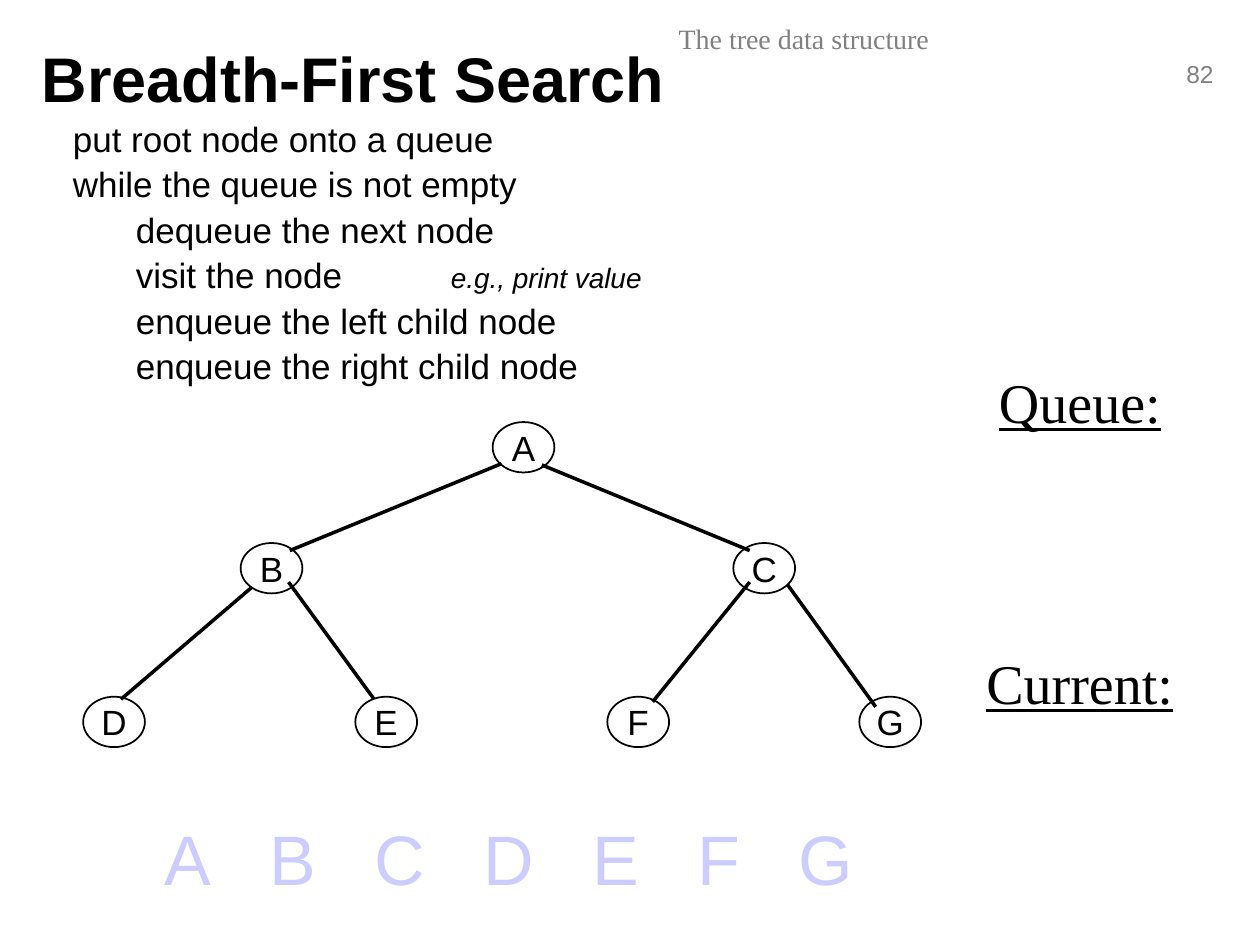
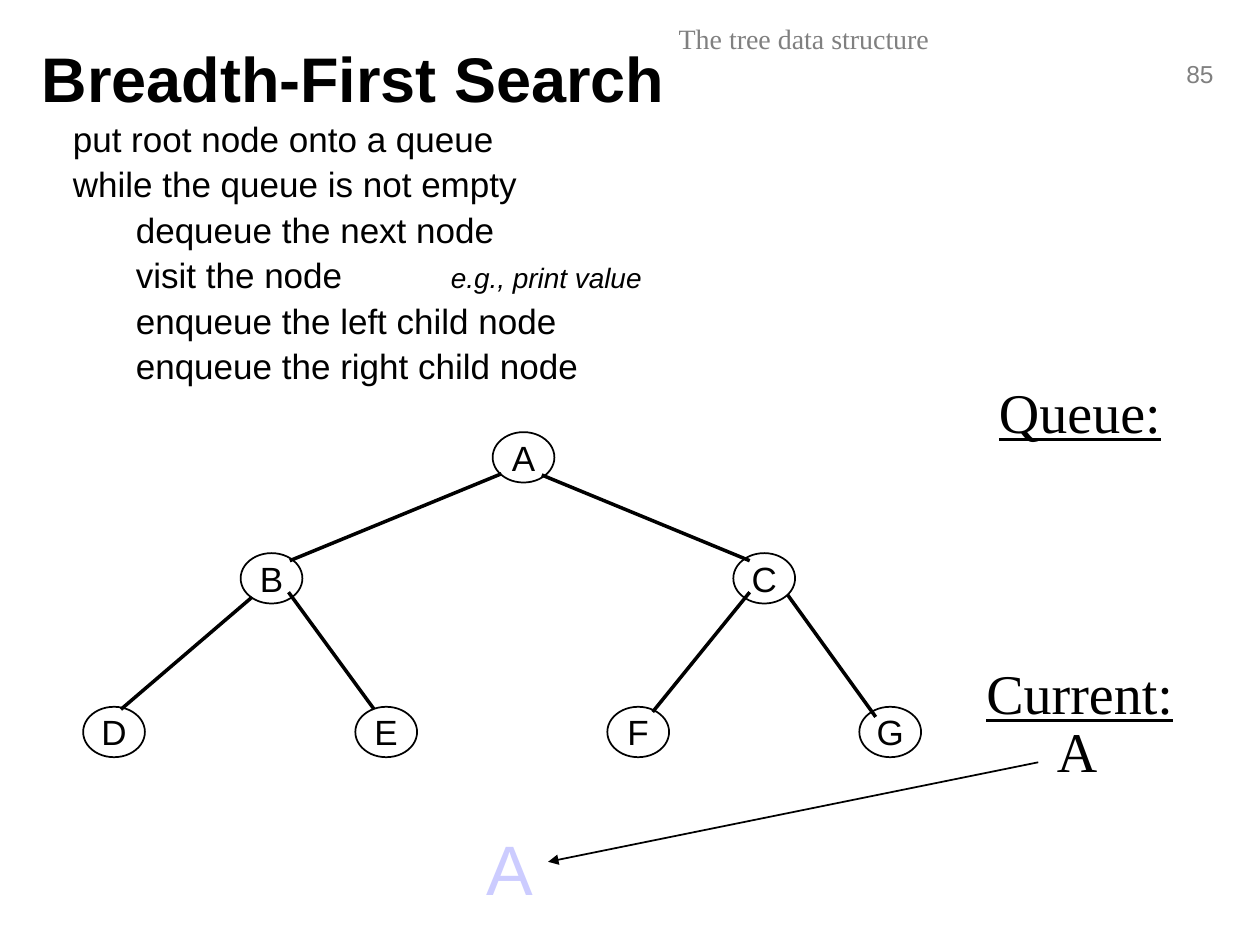
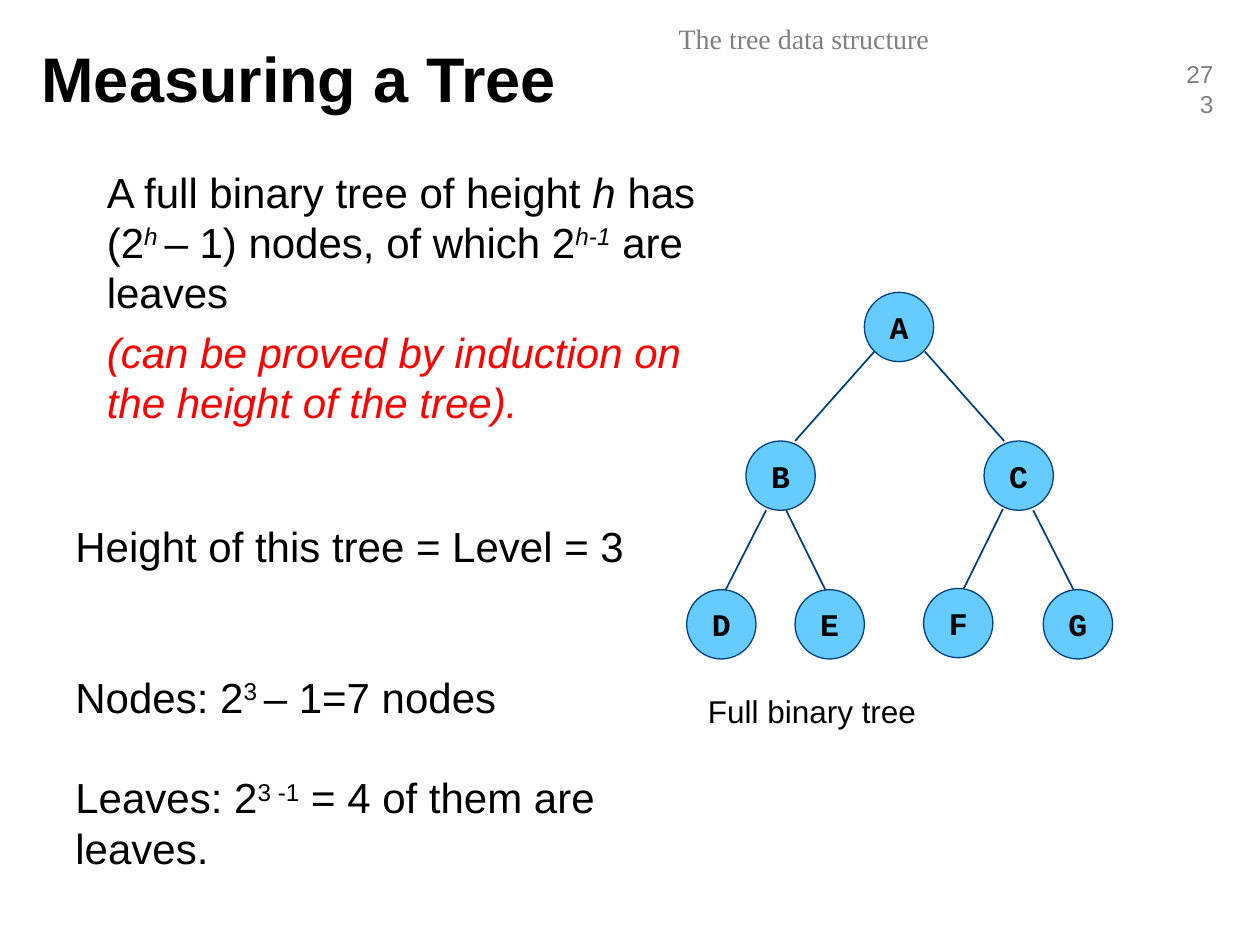
from dataclasses import dataclass
from itertools import accumulate

from lxml.etree import SubElement
from pptx import Presentation
from pptx.dml.color import RGBColor
from pptx.enum.shapes import MSO_CONNECTOR, MSO_SHAPE
from pptx.enum.text import MSO_ANCHOR, MSO_AUTO_SIZE, PP_ALIGN
from pptx.oxml import parse_xml
from pptx.oxml.ns import nsdecls, qn
from pptx.util import Inches, Pt

# Grid of 100 columns by 75 rows over the slide
WIDTH, HEIGHT = Inches(10), Inches(7.5)
COLUMNS, ROWS = 100, 75


@dataclass(frozen=True)
class Theme:
    sans: str = "Arial"
    serif: str = "Times New Roman"
    mono: str = "Courier New"
    ink: str = "000000"
    muted: str = "808080"
    paper: str = "FFFFFF"
    visited: str = "CCCCFF"
    alert: str = "FF0000"
    node_fill: str = "66CCFF"
    node_line: str = "004080"
    title: int = 36
    output: int = 40
    label: int = 32
    body: int = 24
    code: int = 20
    caption: int = 18
    header: int = 16
    number: int = 14


@dataclass(frozen=True)
class Span:
    text: str
    italic: bool = False
    raised: bool = False
    size: int = 0


@dataclass(frozen=True)
class Line:
    spans: tuple
    indent: float = 0
    before: float = 0
    color: str = ""


@dataclass(frozen=True)
class TreeStyle:
    size: tuple
    fill: str
    line: str
    outline: float
    edge: float
    font: str
    text: int
    bold: bool = False


THEME = Theme()
PLAIN_TREE = TreeStyle((4.9, 4), THEME.paper, THEME.ink, 1, 2, THEME.sans, THEME.code)
BLUE_TREE = TreeStyle((5.5, 5.5), THEME.node_fill, THEME.node_line, 0.75, 1,
                      THEME.mono, THEME.caption, True)


def columns(count):
    return round(WIDTH * count / COLUMNS)


def rows(count):
    return round(HEIGHT * count / ROWS)


def place(left, top, width, height):
    return columns(left), rows(top), columns(width), rows(height)


class Painter:
    def __init__(self, deck, theme):
        self.deck, self.theme, self.page = deck, theme, None

    def font(self, font, size, name=None, color=None, bold=False):
        font.size, font.name, font.bold = Pt(size), name or self.theme.sans, bold
        font.color.rgb = RGBColor.from_string(color or self.theme.ink)

    def start(self, title, number):
        """Open a slide with its title, running header and page number."""
        theme = self.theme
        self.page = self.deck.slides.add_slide(self.deck.slide_layouts[5])
        self.text((92.9, 4.2, 4.4, 3.3), number, theme.number,
                  color=theme.muted, align=PP_ALIGN.RIGHT)
        self.text((31.9, 1.2, 63.8, 4), "The tree data structure", theme.header,
                  theme.serif, theme.muted, PP_ALIGN.CENTER)
        box = self.page.shapes.title
        box.left, box.top, box.width, box.height = place(2.3, 1.5, 80.3, 9.3)
        frame = box.text_frame
        frame.text = title
        frame.auto_size = MSO_AUTO_SIZE.NONE
        frame.vertical_anchor = MSO_ANCHOR.MIDDLE
        para = frame.paragraphs[0]
        para.alignment = PP_ALIGN.LEFT
        self.font(para.runs[0].font, theme.title, bold=True)

    def text(self, at, text, size, name=None, color=None, align=PP_ALIGN.LEFT):
        """Add one line of text in one style and return its paragraph."""
        frame = self.page.shapes.add_textbox(*place(*at)).text_frame
        frame.word_wrap = True
        frame.text = text
        para = frame.paragraphs[0]
        para.alignment = align
        self.font(para.runs[0].font, size, name, color)
        return para

    def label(self, at, text, underline=True):
        para = self.text(at, text, self.theme.label, self.theme.serif)
        para.runs[0].font.underline = underline

    def paragraphs(self, at, lines, size):
        """Add a box of paragraphs that mix several styles of text."""
        frame = self.page.shapes.add_textbox(*place(*at)).text_frame
        frame.word_wrap = True
        for index, line in enumerate(lines):
            para = frame.add_paragraph() if index else frame.paragraphs[0]
            para.space_before = Pt(line.before if index else 0)
            para._p.get_or_add_pPr().set("marL", str(columns(line.indent)))
            for part in line.spans:
                span = para.add_run()
                span.text = part.text
                self.font(span.font, part.size or size, color=line.color)
                span.font.italic = part.italic
                if part.raised:
                    span._r.get_or_add_rPr().set("baseline", "30000")

    def visited(self, left, top, letters):
        """Add shadowed letters with an equal gap after each one."""
        advance = {"A": 3.7, "B": 3.7, "C": 4.01, "D": 4.01, "E": 3.7, "F": 3.4, "G": 4.32}
        gap = 4.63
        stops = list(accumulate(advance[letter] + gap for letter in letters))
        para = self.text((left, top, stops[-1], 7.6), "\t".join(letters),
                         self.theme.output, color=self.theme.visited)
        tabs = SubElement(para._p.get_or_add_pPr(), qn("a:tabLst"))
        for stop in stops[:-1]:
            SubElement(tabs, qn("a:tab"), pos=str(columns(stop)), algn="l")
        for span in para.runs:
            span._r.rPr.find(qn("a:solidFill")).addnext(parse_xml(
                f'<a:effectLst {nsdecls("a")}><a:outerShdw dist="25400" dir="2700000">'
                f'<a:srgbClr val="{self.theme.ink}"/></a:outerShdw></a:effectLst>'))

    def line(self, ends, color, weight, arrow=False):
        left, top, right, bottom = ends
        line = self.page.shapes.add_connector(
            MSO_CONNECTOR.STRAIGHT, columns(left), rows(top), columns(right), rows(bottom))
        line.line.color.rgb = RGBColor.from_string(color)
        line.line.width = Pt(weight)
        if arrow:
            SubElement(line.line._get_or_add_ln(), qn("a:tailEnd"), type="triangle")
        SubElement(line._element.spPr, qn("a:effectLst"))

    def node(self, left, top, letter, style):
        shape = self.page.shapes.add_shape(MSO_SHAPE.OVAL, *place(left, top, *style.size))
        shape.shadow.inherit = False
        shape.fill.solid()
        shape.fill.fore_color.rgb = RGBColor.from_string(style.fill)
        shape.line.color.rgb = RGBColor.from_string(style.line)
        shape.line.width = Pt(style.outline)
        frame = shape.text_frame
        frame.margin_left = frame.margin_right = frame.margin_top = frame.margin_bottom = 0
        frame.word_wrap = False
        frame.vertical_anchor = MSO_ANCHOR.MIDDLE
        frame.text = letter
        para = frame.paragraphs[0]
        para.alignment = PP_ALIGN.CENTER
        self.font(para.runs[0].font, style.text, style.font, bold=style.bold)

    def tree(self, nodes, edges, style, drop=0):
        for letter, (left, top) in nodes.items():
            self.node(left, top + drop, letter, style)
        for left, top, right, bottom in edges:
            self.line((left, top + drop, right, bottom + drop), style.line, style.edge)


# Breadth-first search: the tree and its algorithm
SEARCH_NODES = {"A": (39.1, 33.5), "B": (19.1, 43.1), "C": (58.2, 43.1), "D": (6.6, 55.3),
                "E": (28.2, 55.3), "F": (48.2, 55.3), "G": (68.2, 55.3)}
SEARCH_EDGES = [(39.8, 36.8, 23, 43.7), (43, 36.9, 59.5, 43.7), (20, 46.6, 9.6, 55.5),
                (59.5, 46.2, 51.8, 55.7), (62.5, 46.4, 69.5, 56.1), (22.9, 46.2, 29.7, 55.5)]
ALGORITHM = [
    (5, "put root node onto a queue"),
    (5, "while the queue is not empty"),
    (10, "dequeue the next node"),
    (10, "visit the node\t\t", Span("e.g., print value", italic=True, size=THEME.header)),
    (10, "enqueue the left child node"),
    (10, "enqueue the right child node"),
]


def search_slide(painter, number, drop=0):
    painter.start("Breadth-First Search", number)
    painter.tree(SEARCH_NODES, SEARCH_EDGES, PLAIN_TREE, drop)
    painter.label((78.3, 28.7 + drop, 15.2, 6.4), "Queue:")
    painter.label((77.3, 51 + drop, 17.2, 6.4), "Current:")
    painter.paragraphs((-0.2, 8.8, 58, 22.9),
                       [Line((Span(step), *notes), indent, before=2)
                        for indent, step, *notes in ALGORITHM], THEME.code)


# Measuring a tree: a full binary tree and its counts
FULL_NODES = {"A": (68.6, 23.2), "B": (59.2, 35), "C": (78.1, 35), "D": (54.5, 46.8),
              "E": (63.1, 46.8), "F": (73.3, 46.7), "G": (82.8, 46.8)}
FULL_EDGES = [(69.4, 27.9, 63.1, 35), (73.4, 27.9, 79.7, 35), (60.8, 40.5, 57.6, 46.8),
              (62.4, 40.5, 65.5, 46.8), (79.6, 40.4, 76.5, 46.7), (82, 40.5, 85.2, 46.8)]
CLAIM = [
    Line((Span("A full binary tree of height "), Span("h ", italic=True), Span("has (2"),
          Span("h ", italic=True, raised=True), Span("– 1) nodes, of which 2"),
          Span("h-1", italic=True, raised=True), Span(" are leaves")), indent=5),
    Line((Span("(can be proved by induction on the height of the tree).", italic=True),),
         indent=5, before=5, color=THEME.alert),
]
COUNTS = [
    Line((Span("Height of this tree = Level = 3"),)),
    Line((Span("Nodes: 2"), Span("3 ", raised=True), Span("– 1=7 nodes")), before=57.5),
    Line((Span("Leaves: 2"), Span("3 -1", raised=True), Span(" = 4 of them are leaves.")),
         before=28.75),
]


def measuring_slide(painter):
    painter.start("Measuring a Tree", "273")
    painter.tree(FULL_NODES, FULL_EDGES, BLUE_TREE)
    painter.text((55.2, 54.4, 32.3, 4), "Full binary tree", THEME.caption)
    painter.paragraphs((2.5, 12.7, 55, 49.7), CLAIM, THEME.body)
    painter.paragraphs((5, 40.8, 46.5, 25.2), COUNTS, THEME.body)


def main():
    deck = Presentation()
    deck.slide_width, deck.slide_height = WIDTH, HEIGHT
    painter = Painter(deck, THEME)

    # Whole traversal
    search_slide(painter, "82")
    painter.visited(12.1, 64.2, "ABCDEFG")

    # First node visited
    search_slide(painter, "85", drop=0.8)
    painter.label((82.9, 56.4, 5.5, 6.4), "A", underline=False)
    painter.visited(37.6, 65, "A")
    painter.line((82.4, 60.5, 43.5, 68.4), THEME.ink, 1, arrow=True)

    measuring_slide(painter)
    deck.save("out.pptx")


if __name__ == "__main__":
    main()
